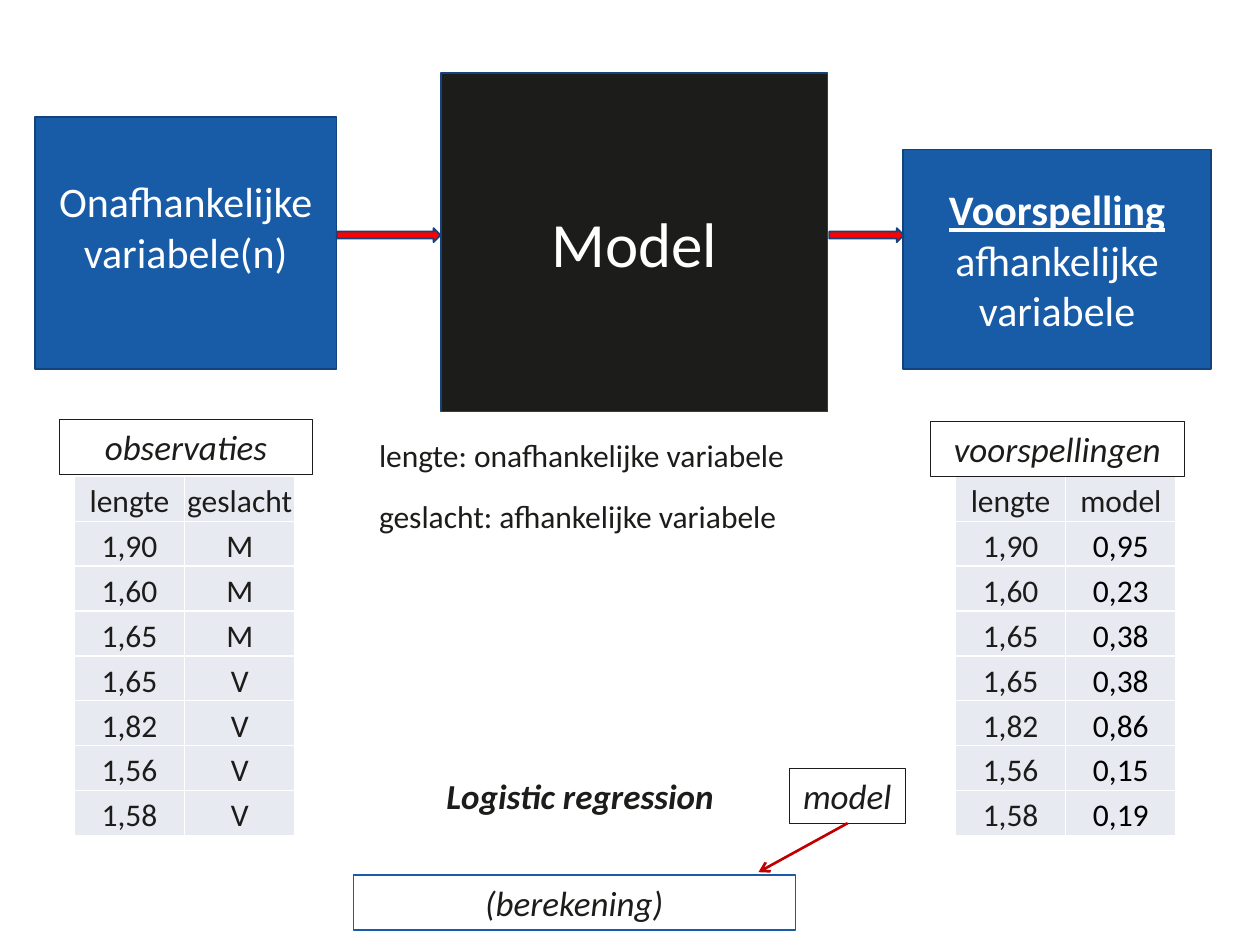
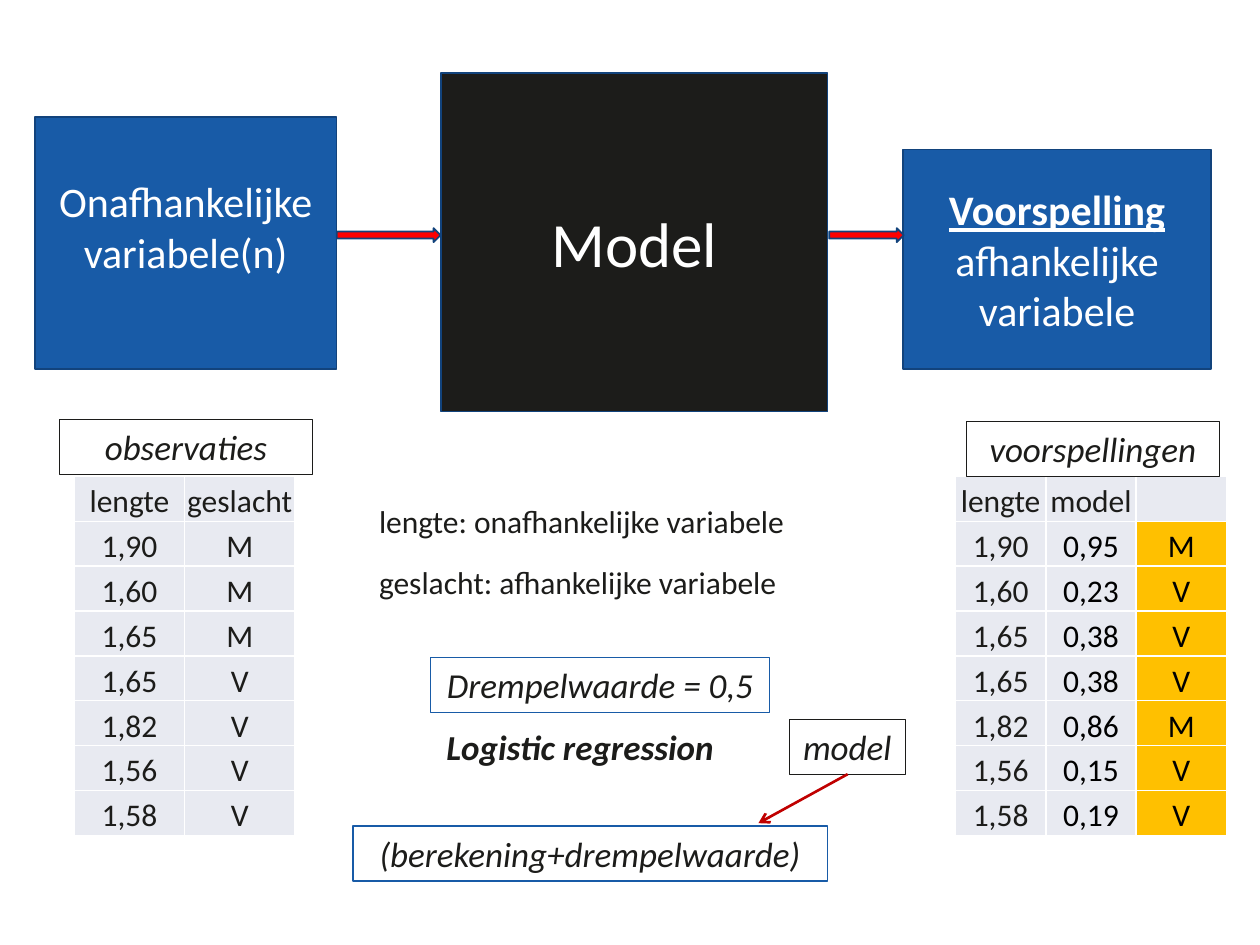
from pptx import Presentation
from pptx.dml.color import RGBColor
from pptx.enum.shapes import MSO_CONNECTOR as Connector, MSO_SHAPE as Shape
from pptx.enum.text import MSO_ANCHOR as Anchor, MSO_AUTO_SIZE as AutoSize, PP_ALIGN as Align
from pptx.oxml.ns import qn
from pptx.util import Pt
from lxml.etree import SubElement

COLORS = {
    "ink": "1C1C1A", "black": "000000", "white": "FFFFFF", "blue": "185BA7",
    "navy": "12437C", "red": "FF0000", "dark_red": "C00000",
    "cell": "E8EAF1", "amber": "FFC000",
}
FONT = "Calibri"
LABEL_HEIGHT = 31.5
ROW_HEIGHT = 25.65
TABLE_TOP = 272.3

LENGTHS = ["1,90", "1,60", "1,65", "1,65", "1,82", "1,56", "1,58"]
SEXES = ["M", "M", "M", "V", "V", "V", "V"]
SCORES = ["0,95", "0,23", "0,38", "0,38", "0,86", "0,15", "0,19"]
PREDICTED = ["M", "V", "V", "V", "M", "V", "V"]


class Page:
    """One slide with the drawing style of the deck."""

    def __init__(self, deck):
        """Add a blank slide to the deck."""
        self.shapes = deck.slides.add_slide(deck.slide_layouts[6]).shapes

    def color(self, name):
        """Return the named colour."""
        return RGBColor.from_string(COLORS[name])

    def fill(self, target, name):
        """Give a shape or cell a solid fill."""
        target.fill.solid()
        target.fill.fore_color.rgb = self.color(name)

    def outline(self, target, name, width):
        """Give a shape or connector a solid line."""
        target.line.color.rgb = self.color(name)
        target.line.width = Pt(width)

    def span(self, para, text, size, color="ink", bold=False, italic=False, underline=False):
        """Add one formatted run to a paragraph."""
        run = para.add_run()
        run.text = text
        font = run.font
        font.name, font.size = FONT, Pt(size)
        font.bold, font.italic, font.underline = bold, italic, underline
        font.color.rgb = self.color(color)

    def shape(self, kind, left, top, width, height, fill):
        """Add a filled preset shape with a navy line."""
        box = self.shapes.add_shape(kind, Pt(left), Pt(top), Pt(width), Pt(height))
        box.shadow.inherit = False
        self.fill(box, fill)
        self.outline(box, "navy", 1)
        return box

    def block(self, left, top, width, height, fill, size, text, lead="", bottom=3.6):
        """Add a block with centred white text and an optional stressed lead."""
        frame = self.shape(Shape.RECTANGLE, left, top, width, height, fill).text_frame
        frame.word_wrap = True
        frame.vertical_anchor = Anchor.MIDDLE
        frame.margin_bottom = Pt(bottom)
        para = frame.paragraphs[0]
        para.alignment = Align.CENTER
        if lead:
            self.span(para, lead, size, "white", bold=True, underline=True)
        self.span(para, text, size, "white")

    def text(self, left, top, width, height, text, size, align=Align.LEFT, wrap=True, **style):
        """Add a text box with one run."""
        box = self.shapes.add_textbox(Pt(left), Pt(top), Pt(width), Pt(height))
        box.text_frame.word_wrap = wrap
        box.text_frame.auto_size = AutoSize.SHAPE_TO_FIT_TEXT
        para = box.text_frame.paragraphs[0]
        para.alignment = align
        self.span(para, text, size, **style)
        return box

    def label(self, left, top, width, text, line="ink", weight=0.5):
        """Add an outlined label in italics."""
        box = self.text(left, top, width, LABEL_HEIGHT, text, 20, Align.CENTER, italic=True)
        self.outline(box, line, weight)

    def arrow(self, start, end):
        """Add a thin red arrow."""
        line = self.shapes.add_connector(Connector.STRAIGHT, *map(Pt, start + end))
        self.outline(line, "dark_red", 1.5)
        SubElement(line.line._get_or_add_ln(), qn("a:tailEnd"), type="arrow")
        SubElement(line._element.spPr, qn("a:effectLst"))

    def cell(self, cell, text, color, fill):
        """Write and format one table cell."""
        cell.margin_left = cell.margin_right = cell.margin_top = Pt(0.75)
        cell.margin_bottom = Pt(0)
        cell.vertical_anchor = Anchor.BOTTOM
        properties = cell._tc.get_or_add_tcPr()
        for side in ("lnL", "lnR", "lnT", "lnB"):
            border = SubElement(properties, qn(f"a:{side}"), w=str(Pt(1)))
            solid = SubElement(border, qn("a:solidFill"))
            SubElement(solid, qn("a:srgbClr"), val=COLORS["white"])
        self.fill(cell, fill)
        if text:
            para = cell.text_frame.paragraphs[0]
            para.alignment = Align.CENTER
            self.span(para, text, 18, color)

    def table(self, left, column_width, columns):
        """Add a table from columns of heading, values, text colour and fill."""
        rows = len(LENGTHS) + 1
        table = self.shapes.add_table(
            rows, len(columns), Pt(left), Pt(TABLE_TOP),
            Pt(column_width * len(columns)), Pt(ROW_HEIGHT * rows)).table
        table.first_row = table.horz_banding = False
        for row in table.rows:
            row.height = Pt(ROW_HEIGHT)
        for index, (heading, values, color, fill) in enumerate(columns):
            table.columns[index].width = Pt(column_width)
            self.cell(table.cell(0, index), heading, "ink", "cell")
            for number, value in enumerate(values, 1):
                self.cell(table.cell(number, index), value, color, fill)


def draw_page(deck, predictions, column_width, predictions_left, notes_top, model_top,
              result, result_width):
    """Draw the model flow with its observations and predictions."""
    page = Page(deck)
    lengths = ("lengte", LENGTHS, "ink", "cell")
    page.table(42.5, 63, [lengths, ("geslacht", SEXES, "ink", "cell")])
    page.table(546, column_width, [lengths] + predictions)

    page.block(20, 67, 172.3, 144, "blue", 24, "Onafhankelijke variabele(n)", bottom=23)
    page.block(252, 41.6, 221, 193.6, "ink", 36, "Model")
    page.block(516.2, 85.4, 175.8, 125.6, "blue", 24, " afhankelijke variabele", "Voorspelling")
    for left, width in ((192.5, 59.3), (473.8, 42.6)):
        page.shape(Shape.RIGHT_ARROW, left, 130.4, width, 8, "red")

    notes = ("lengte: onafhankelijke variabele", "geslacht: afhankelijke variabele")
    for index, note in enumerate(notes):
        page.text(209.5, notes_top + 34.8 * index, 253, 29, note, 18, wrap=False)

    page.label(201.8, model_top + 60.8, result_width, result, "blue", 0.75)
    page.label(451.2, model_top, 66, "model")
    page.arrow((484.4, model_top + 31.2), (433.4, model_top + 59.2))
    page.text(248, model_top, 174, LABEL_HEIGHT, "Logistic regression", 20, bold=True, italic=True)
    page.label(33.9, 239.6, 144.8, "observaties")
    page.label(predictions_left, 240.8, 144.8, "voorspellingen")
    return page


def main():
    """Build and save the deck."""
    deck = Presentation()
    deck.slide_width, deck.slide_height = Pt(720), Pt(540)
    scores = ("model", SCORES, "black", "cell")
    classes = ("", PREDICTED, "black", "amber")
    draw_page(deck, [scores], 63, 531.8, 245.5, 439.2, "(berekening)", 252.7)
    page = draw_page(deck, [scores, classes], 51.6, 552.2, 283.2, 411.2,
                     "(berekening+drempelwaarde)", 271)
    page.label(246, 375.6, 193.8, "Drempelwaarde = 0,5", "blue", 0.75)
    deck.save("out.pptx")


if __name__ == "__main__":
    main()
